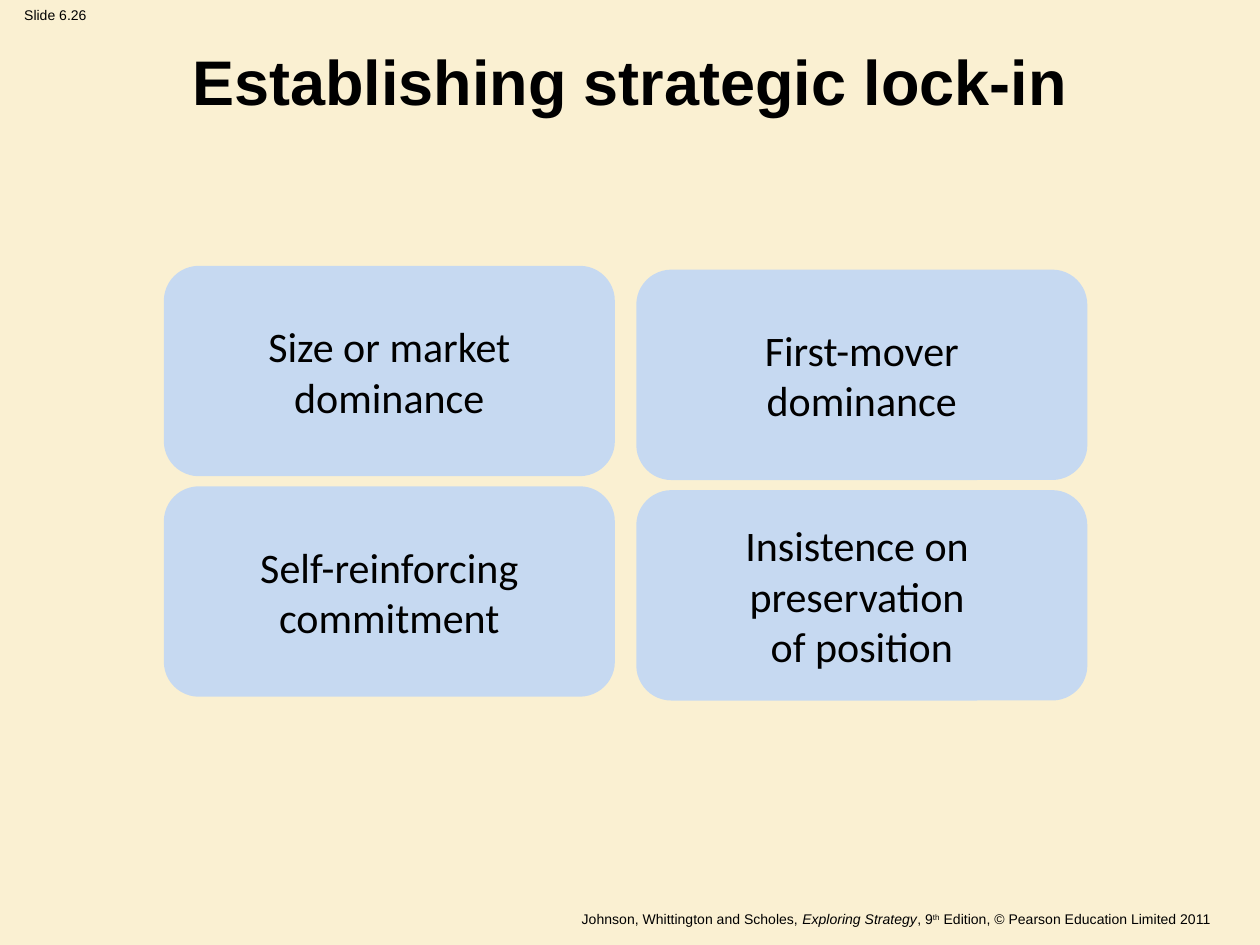
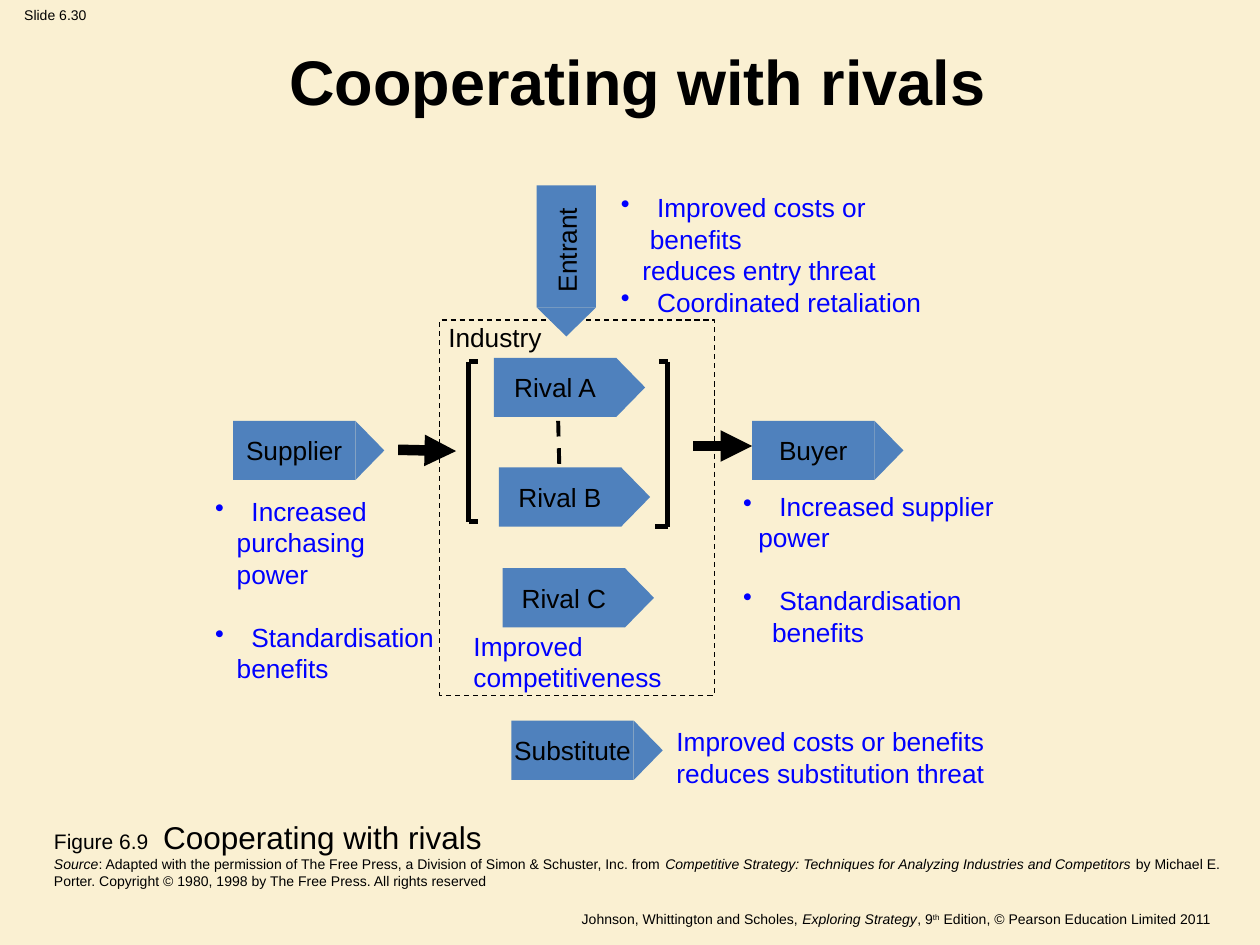
import pptx
import pptx.dml.color
import pptx.enum.dml
import pptx.enum.shapes
import pptx.enum.text
import pptx.oxml
import pptx.oxml.ns
import pptx.util
from dataclasses import dataclass

Inches = pptx.util.Inches
Pt = pptx.util.Pt
Shape = pptx.enum.shapes.MSO_SHAPE
Align = pptx.enum.text.PP_ALIGN
Anchor = pptx.enum.text.MSO_ANCHOR


@dataclass(frozen=True)
class Theme:
    paper: str = "FAF0D2"
    ink: str = "000000"
    note: str = "0000FF"
    card: str = "C6D9F1"
    force: str = "4F81BD"
    sans: str = "Arial"
    soft: str = "Calibri"
    head: float = 36
    big: float = 24
    fig: float = 18
    body: float = 15
    label: float = 12
    small: float = 8


T = Theme()

# A line is a list of runs: (text, extra run settings)
FOOT = [("Johnson, Whittington and Scholes, ", {}),
        ("Exploring Strategy", {"italic": True}),
        (", 9", {}),
        ("th", {"raised": True}),
        (" Edition, © Pearson Education Limited 2011", {})]

CARDS = [["Size or market", "dominance"],
         ["First-mover", "dominance"],
         ["Self-reinforcing", "commitment"],
         ["Insistence on ", "preservation ", "of position"]]

# Name, left, top of the body, points down
FORCES = [("Supplier", 1.85, 3.34, False),
          ("Buyer", 5.97, 3.34, False),
          ("Rival C", 3.99, 4.51, False),
          ("Rival B", 3.96, 3.71, False),
          ("Rival A", 3.92, 2.84, False),
          ("Entrant ", 4.01, 1.72, True),
          ("Substitute", 4.06, 5.72, False)]

# Box, then lines: (text, indent, has bullet, space before)
NOTES = [((5.8, 3.84, 2.56, 1.35),
          [(" Increased supplier", 0.23, True, 0),
           ("power", 0.12, False, 0),
           (" Standardisation benefits", 0.23, True, 18)]),
         ((1.61, 3.88, 2.11, 1.85),
          [(" Increased", 0.23, True, 0),
           ("purchasing", 0.17, False, 0),
           ("power", 0.17, False, 0),
           (" Standardisation", 0.23, True, 18),
           ("benefits", 0.17, False, 0)]),
         ((4.83, 1.47, 2.77, 1.1),
          [(" Improved costs or benefits", 0.23, True, 0),
           ("reduces entry threat", 0.17, False, 0),
           (" Coordinated retaliation", 0.23, True, 0)]),
         ((5.27, 5.71, 2.75, 0.6),
          [("Improved costs or benefits", 0, False, 0),
           ("reduces substitution threat", 0, False, 0)]),
         ((3.66, 4.95, 1.9, 0.6),
          [("Improved", 0, False, 0),
           ("competitiveness", 0, False, 0)])]

# From, to
ARROWS = [((5.5, 3.54), (5.97, 3.54)),
          ((3.16, 3.57), (3.62, 3.58))]

# Spine, top, bottom, ends of the top and bottom arms
BRACES = [(3.72, 2.87, 4.14, 3.79, 3.79),
          (5.3, 2.87, 4.18, 5.23, 5.2)]

CITE = [[("Figure 6.9 ", {"size": T.label}),
         (" Cooperating with rivals", {"size": T.fig})],
        [("Source", {"italic": True}),
         (": Adapted with the permission of The Free Press, a Division of "
          "Simon & Schuster, Inc. from ", {}),
         ("Competitive Strategy: Techniques for Analyzing Industries and "
          "Competitors ", {"italic": True}),
         ("by Michael E. Porter. Copyright © 1980, 1998 by The Free Press. "
          "All rights reserved", {})]]


def rgb(code):
    return pptx.dml.color.RGBColor.from_string(code)


def write(para, runs, size, color=T.ink, face=T.sans, bold=False):
    for text, extra in runs:
        run = para.add_run()
        run.text = text
        font = run.font
        font.name = face
        font.size = Pt(extra.get("size", size))
        font.color.rgb = rgb(color)
        font.bold = bold
        font.italic = extra.get("italic", False)
        if extra.get("raised"):
            run._r.get_or_add_rPr().set("baseline", "30000")


def fill(frame, lines, size, align=Align.LEFT, wrap=True, **look):
    """Write one paragraph per line and return the paragraphs."""
    frame.word_wrap = wrap
    paras = []
    for i, runs in enumerate(lines):
        para = frame.add_paragraph() if i else frame.paragraphs[0]
        para.alignment = align
        write(para, runs, size, **look)
        paras.append(para)
    return paras


def place(box):
    return [Inches(v) for v in box]


def text(slide, box, lines, size, **look):
    frame = slide.shapes.add_textbox(*place(box)).text_frame
    return fill(frame, lines, size, **look)


def shape(slide, kind, box, color=None):
    item = slide.shapes.add_shape(kind, *place(box))
    item.shadow.inherit = False
    item.line.fill.background()
    if color:
        item.fill.solid()
        item.fill.fore_color.rgb = rgb(color)
    else:
        item.fill.background()
    item.text_frame.vertical_anchor = Anchor.MIDDLE
    return item


def xml(tag, **attrs):
    node = pptx.oxml.parse_xml(f"<a:{tag} {pptx.oxml.ns.nsdecls('a')}/>")
    for key, val in attrs.items():
        node.set(key, val)
    return node


def dash(line):
    line.dash_style = pptx.enum.dml.MSO_LINE.DASH


def link(slide, start, end, width, head=False):
    kind = pptx.enum.shapes.MSO_CONNECTOR.STRAIGHT
    item = slide.shapes.add_connector(kind, *place(start + end))
    item.line.color.rgb = rgb(T.ink)
    item.line.width = Pt(width)
    if head:
        item.line._get_or_add_ln().append(xml("tailEnd", type="triangle"))
    item._element.spPr.append(xml("effectLst"))
    return item


def force(slide, name, x, y, down):
    """Draw a named bar with a pointed end, facing right or down."""
    wide, high, tip = 0.97, 0.47, 0.23
    bar = shape(slide, Shape.RECTANGLE, (x, y, wide, high), T.force)
    fill(bar.text_frame, [[(name, {})]], T.body, Align.CENTER, wrap=False)
    reach = (wide + tip) / 2
    mid_x = x + wide / 2 + (0 if down else reach)
    mid_y = y + high / 2 + (reach if down else 0)
    box = (mid_x - high / 2, mid_y - tip / 2, high, tip)
    point = shape(slide, Shape.ISOSCELES_TRIANGLE, box, T.force)
    bar.rotation = 270 if down else 0
    point.rotation = 180 if down else 90


def note(slide, box, lines):
    paras = text(slide, box, [[(line[0], {})] for line in lines],
                 T.body, color=T.note)
    for para, (_, indent, bullet, gap) in zip(paras, lines):
        props = para._p.get_or_add_pPr()
        props.set("marL", str(Inches(indent)))
        if bullet:
            props.set("indent", str(-Inches(indent)))
            props.append(xml("buChar", char="•"))
        if gap:
            para.space_before = Pt(gap)


def start(prs, number, title, box):
    slide = prs.slides.add_slide(prs.slide_layouts[6])
    text(slide, (0, 0, 0.88, 0.24), [[(f"Slide {number}", {})]], T.small,
         align=Align.CENTER, wrap=False)
    text(slide, (0.26, 7.18, 9.45, 0.21), [FOOT], T.small, align=Align.RIGHT)
    text(slide, box, [[(title, {})]], T.head, align=Align.CENTER, bold=True)
    return slide


def lock(prs):
    slide = start(prs, "6.26", "Establishing strategic lock-in",
                  (0.5, 0.29, 9, 0.7))
    for i, lines in enumerate(CARDS):
        row, col = divmod(i, 2)
        box = (1.3 + 3.75 * col, 2.11 + 1.75 * row + 0.03 * col, 3.58, 1.67)
        card = shape(slide, Shape.ROUNDED_RECTANGLE, box, T.card)
        fill(card.text_frame, [[(line, {})] for line in lines], T.big,
             Align.CENTER, wrap=False, face=T.soft)


def rivals(prs):
    slide = start(prs, "6.30", "Cooperating with rivals",
                  (1.27, 0.29, 7.58, 0.7))
    dash(link(slide, (4.43, 3.34), (4.44, 3.74), 2.25).line)
    for begin, end in ARROWS:
        link(slide, begin, end, 6, head=True)
    field = shape(slide, Shape.RECTANGLE, (3.49, 2.54, 2.18, 2.98))
    field.line.color.rgb = rgb(T.ink)
    field.line.width = Pt(0.75)
    dash(field.line)
    for item in FORCES:
        force(slide, *item)
    for box, lines in NOTES:
        note(slide, box, lines)
    text(slide, (3.46, 2.5, 0.94, 0.35), [[("Industry", {})]], T.body,
         wrap=False)
    for x, top, base, top_end, base_end in BRACES:
        link(slide, (x, top), (x, base), 3)
        link(slide, (top_end, top), (x, top), 3)
        link(slide, (base_end, base), (x, base), 3)
    text(slide, (0.33, 6.44, 9.55, 0.67), CITE, T.small)


def main():
    prs = pptx.Presentation()
    prs.slide_width, prs.slide_height = Inches(10), Inches(7.5)
    back = prs.slide_master.background.fill
    back.solid()
    back.fore_color.rgb = rgb(T.paper)
    lock(prs)
    rivals(prs)
    prs.save("out.pptx")


if __name__ == "__main__":
    main()
